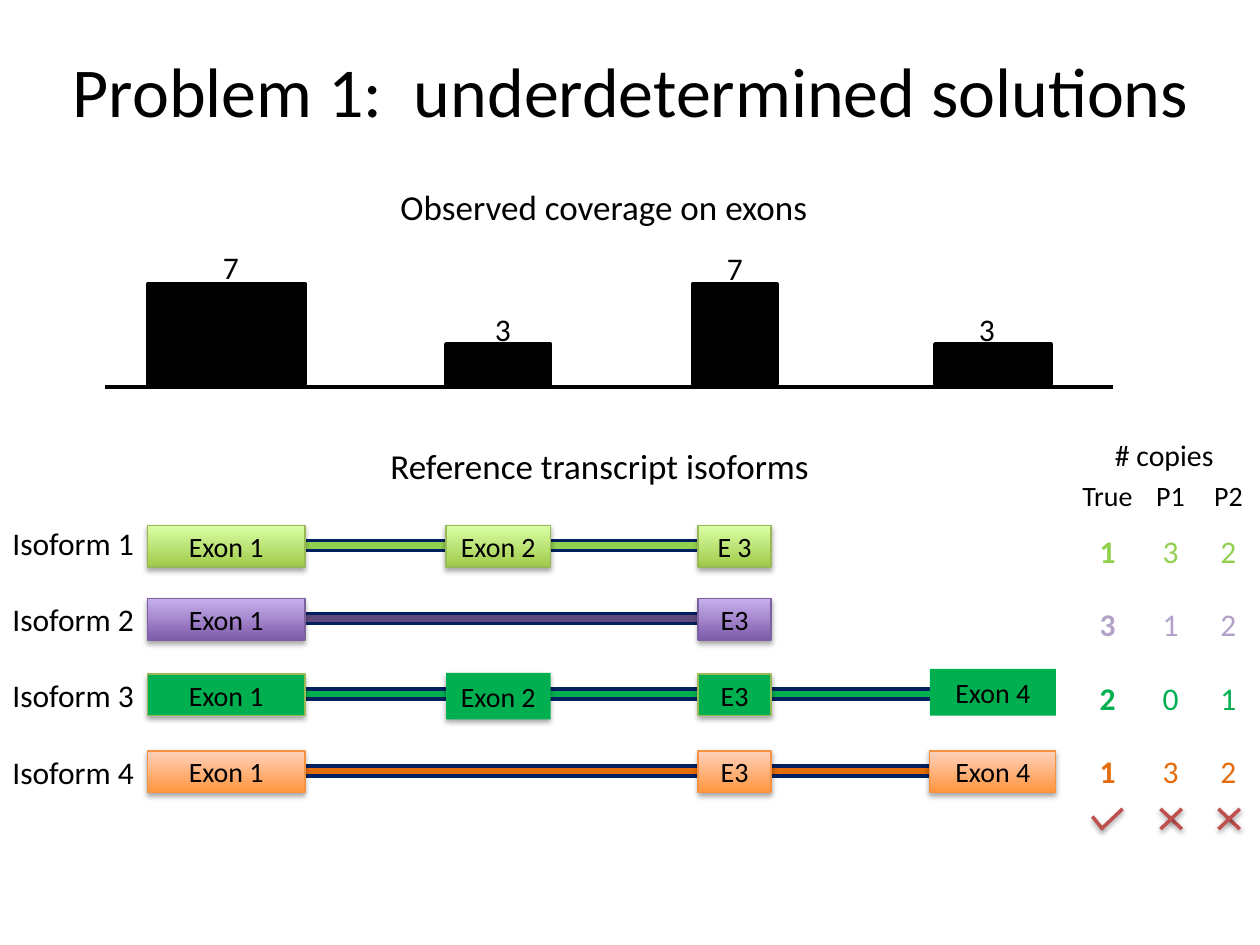
import dataclasses
import typing

import pptx
import pptx.dml.color
import pptx.enum.shapes
import pptx.enum.text
import pptx.oxml
import pptx.oxml.ns
import pptx.util
from lxml import etree

Inches = pptx.util.Inches
Pt = pptx.util.Pt
Align = pptx.enum.text.PP_ALIGN
Anchor = pptx.enum.text.MSO_ANCHOR


@dataclasses.dataclass(frozen=True)
class Theme:
    font: str = "Calibri"
    ink: str = "000000"
    intron_edge: str = "002060"
    mark: str = "C0504D"
    title: float = 40
    heading: float = 20
    copies: float = 17
    label: float = 18
    exon: float = 16
    edge: float = 0.75
    stroke: float = 2


class Span(typing.NamedTuple):
    left: float
    width: float


class Coverage(typing.NamedTuple):
    span: Span
    height: float
    count: str
    count_left: float
    count_top: float


class Exon(typing.NamedTuple):
    span: Span
    text: str
    fill: tuple[str, ...]
    edge: str | None
    shadow: bool = True
    rise: float = 0
    height: float = 0.33


class Isoform(typing.NamedTuple):
    top: float
    intron: str
    intron_width: float
    count_color: str
    counts: tuple[str, str, str]
    exons: tuple[Exon, ...]


class Solution(typing.NamedTuple):
    name: str
    center: float
    strokes: tuple[tuple[float, float, float, float], ...]


THEME = Theme()
EXON_1, EXON_2 = Span(1.17, 1.25), Span(3.54, 0.83)
EXON_3, EXON_4 = Span(5.54, 0.58), Span(7.38, 1)
LIME, LIME_EDGE = ("A0CA4A", "DAFFA5"), "98B955"
PURPLE, PURPLE_EDGE = ("7F5BAB", "C8B0ED"), "7D60A0"
GREEN = ("00B050",)
ORANGE, ORANGE_EDGE = ("FF953E", "FFD2BD"), "F69240"
CROSS = ((-0.08, 6.42, 0.09, 6.58), (0.09, 6.42, -0.08, 6.58))
CHECK = ((-0.12, 6.48, -0.04, 6.58), (0.12, 6.42, -0.05, 6.58))

COVERAGES = (
    Coverage(Span(1.17, 1.25), 0.8, "7", 1.67, 1.92),
    Coverage(Span(3.54, 0.83), 0.32, "3", 3.83, 2.41),
    Coverage(Span(5.5, 0.67), 0.8, "7", 5.67, 1.93),
    Coverage(Span(7.42, 0.92), 0.32, "3", 7.67, 2.41),
)
ISOFORMS = (
    Isoform(4.17, "92D050", 4.7, "92D050", ("1", "3", "2"), (
        Exon(EXON_1, "Exon 1", LIME, LIME_EDGE),
        Exon(EXON_2, "Exon 2", LIME, LIME_EDGE),
        Exon(EXON_3, "E 3", LIME, LIME_EDGE))),
    Isoform(4.75, "604A7B", 4.7, "B3A2C7", ("3", "1", "2"), (
        Exon(EXON_1, "Exon 1", PURPLE, PURPLE_EDGE),
        Exon(EXON_3, "E3", PURPLE, PURPLE_EDGE))),
    Isoform(5.35, "00B050", 6.1, "00B050", ("2", "0", "1"), (
        Exon(EXON_1, "Exon 1", GREEN, LIME_EDGE),
        Exon(EXON_2, "Exon 2", GREEN, None, rise=0.01, height=0.37),
        Exon(EXON_3, "E3", GREEN, LIME_EDGE),
        Exon(EXON_4, "Exon 4", GREEN, None, False, 0.04, 0.37))),
    Isoform(5.96, "E46C0A", 6.1, "E46C0A", ("1", "3", "2"), (
        Exon(EXON_1, "Exon 1", ORANGE, ORANGE_EDGE),
        Exon(EXON_3, "E3", ORANGE, ORANGE_EDGE),
        Exon(EXON_4, "Exon 4", ORANGE, ORANGE_EDGE))),
)
SOLUTIONS = (
    Solution("True", 8.79, CHECK),
    Solution("P1", 9.29, CROSS),
    Solution("P2", 9.75, CROSS),
)


def rgb(color: str) -> pptx.dml.color.RGBColor:
    return pptx.dml.color.RGBColor.from_string(color)


def set_shadow(item, alpha: int = 0, distance: float = 0) -> None:
    effects = etree.SubElement(item.element.spPr, pptx.oxml.ns.qn("a:effectLst"))
    if alpha:
        effects.append(pptx.oxml.parse_xml(
            f'<a:outerShdw {pptx.oxml.ns.nsdecls("a")} blurRad="{Pt(3.1)}" '
            f'dist="{Pt(distance)}" dir="5400000" rotWithShape="0">'
            f'<a:srgbClr val="{THEME.ink}"><a:alpha val="{alpha * 1000}"/>'
            '</a:srgbClr></a:outerShdw>'))


def write(frame, text: str, size: float, color: str = THEME.ink,
          align=Align.LEFT, bold: bool = False, inset: float = 0.1) -> None:
    frame.word_wrap = True
    frame.margin_left = frame.margin_right = Inches(inset)
    line = frame.paragraphs[0]
    line.text = text
    line.alignment = align
    line.font.name = THEME.font
    line.font.size = Pt(size)
    line.font.bold = bold
    line.font.color.rgb = rgb(color)


def add_text(slide, text: str, left: float, top: float, width: float,
             height: float, size: float, **style) -> None:
    box = slide.shapes.add_textbox(
        Inches(left), Inches(top), Inches(width), Inches(height))
    write(box.text_frame, text, size, **style)


def add_block(slide, span: Span, top: float, height: float,
              fill: tuple[str, ...], edge: str | None, weight: float):
    block = slide.shapes.add_shape(
        pptx.enum.shapes.MSO_SHAPE.RECTANGLE,
        Inches(span.left), Inches(top), Inches(span.width), Inches(height))
    if len(fill) > 1:
        block.fill.gradient()
        block.fill.gradient_angle = 90
        for stop, color in zip(block.fill.gradient_stops, fill):
            stop.color.rgb = rgb(color)
    else:
        block.fill.solid()
        block.fill.fore_color.rgb = rgb(fill[0])
    if edge:
        block.line.color.rgb = rgb(edge)
        block.line.width = Pt(weight)
    else:
        block.line.fill.background()
    return block


def add_line(slide, x1: float, y1: float, x2: float, y2: float, color: str):
    stroke = slide.shapes.add_connector(
        pptx.enum.shapes.MSO_CONNECTOR.STRAIGHT,
        Inches(x1), Inches(y1), Inches(x2), Inches(y2))
    stroke.line.color.rgb = rgb(color)
    stroke.line.width = Pt(THEME.stroke)
    return stroke


def draw_coverage(slide, coverage: Coverage) -> None:
    set_shadow(add_block(slide, coverage.span, 3.05 - coverage.height,
                         coverage.height, (THEME.ink,), THEME.ink, THEME.stroke))
    add_text(slide, coverage.count, coverage.count_left, coverage.count_top,
             0.67, 0.4, THEME.label)


def draw_exon(slide, exon: Exon, row_top: float) -> None:
    block = add_block(slide, exon.span, row_top - exon.rise, exon.height,
                      exon.fill, exon.edge, THEME.edge)
    set_shadow(block, 35 if exon.shadow else 0, 1.8)
    block.text_frame.vertical_anchor = Anchor.MIDDLE
    write(block.text_frame, exon.text, THEME.exon, align=Align.CENTER, inset=0.05)


def draw_isoform(slide, index: int, isoform: Isoform) -> None:
    add_text(slide, f"Isoform {index + 1}", 0, 4.11 + 0.605 * index,
             1.25, 0.4, THEME.label)
    set_shadow(add_block(slide, Span(1.38, isoform.intron_width),
                         isoform.top + 0.12, 0.08, (isoform.intron,),
                         THEME.intron_edge, THEME.stroke))
    for exon in isoform.exons:
        draw_exon(slide, exon, isoform.top)


def draw_solution(slide, column: int, solution: Solution) -> None:
    left = solution.center - 0.25
    add_text(slide, solution.name, left, 3.75, 0.5, 0.37, THEME.exon,
             align=Align.CENTER, inset=0)
    for row, isoform in enumerate(ISOFORMS):
        add_text(slide, isoform.counts[column], left, 4.17 + 0.583 * row,
                 0.5, 0.42, THEME.label, color=isoform.count_color,
                 align=Align.CENTER, bold=column == 0)
    for x1, y1, x2, y2 in solution.strokes:
        set_shadow(add_line(slide, solution.center + x1, y1,
                            solution.center + x2, y2, THEME.mark), 38, 1.6)


def main() -> None:
    """Build the slide on underdetermined isoform solutions."""
    deck = pptx.Presentation()
    deck.slide_width, deck.slide_height = Inches(10), Inches(7.5)
    slide = deck.slides.add_slide(deck.slide_layouts[6])
    add_text(slide, "Problem 1:  underdetermined solutions", 0.38, 0.33,
             9.25, 1.25, THEME.title, align=Align.CENTER)
    add_text(slide, "Observed coverage on exons", 3.08, 1.42, 3.58, 0.44, THEME.heading)
    add_text(slide, "Reference transcript isoforms", 3, 3.48, 3.67, 0.44, THEME.heading)
    add_text(slide, "# copies", 8.75, 3.42, 1.17, 0.39, THEME.copies)
    set_shadow(add_line(slide, 0.83, 3.07, 8.83, 3.07, THEME.ink))
    for coverage in COVERAGES:
        draw_coverage(slide, coverage)
    for index, isoform in enumerate(ISOFORMS):
        draw_isoform(slide, index, isoform)
    for column, solution in enumerate(SOLUTIONS):
        draw_solution(slide, column, solution)
    deck.save("out.pptx")


if __name__ == "__main__":
    main()
